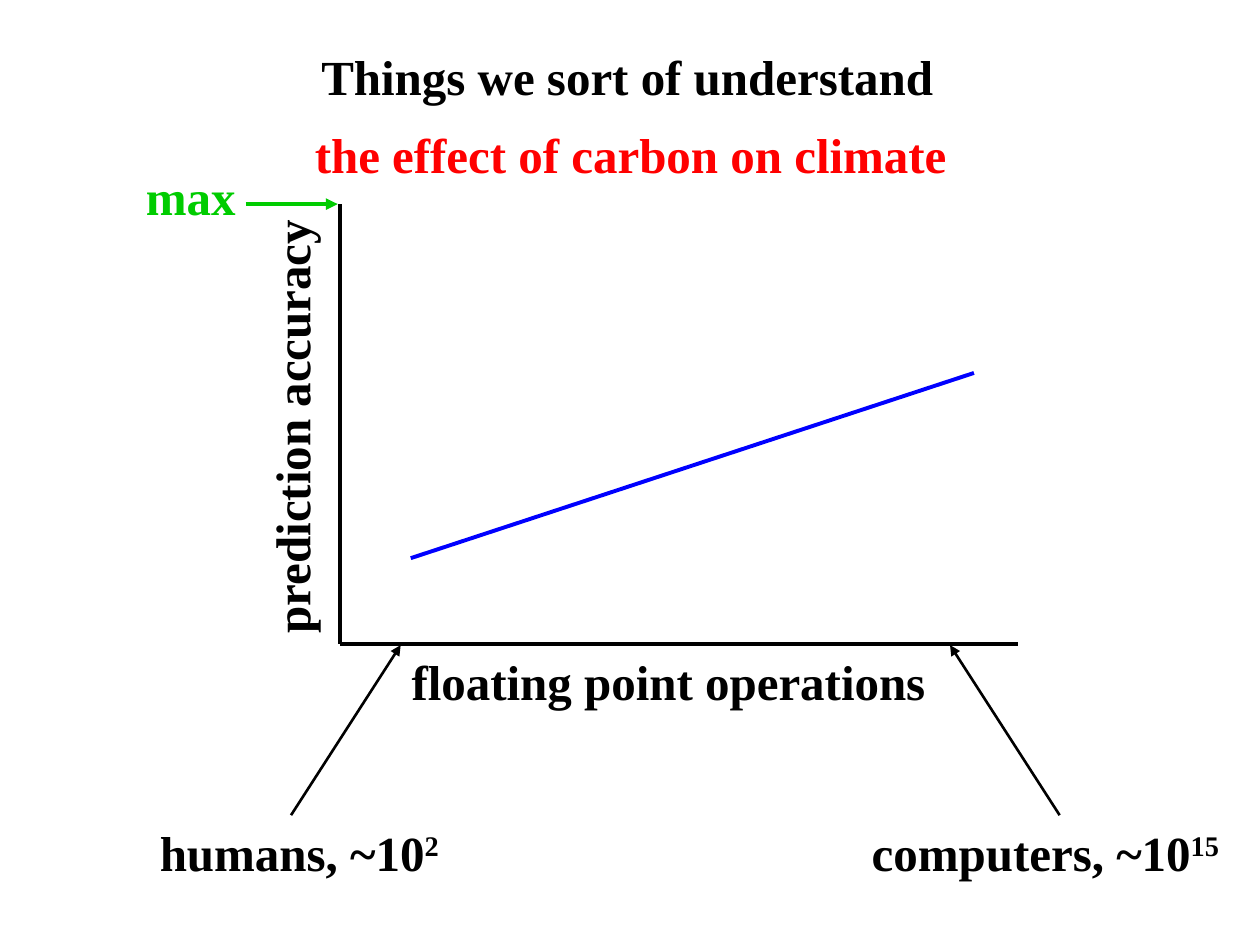
import pptx
import pptx.util
import pptx.dml.color
import pptx.enum.text
import pptx.enum.shapes
import pptx.oxml.ns
import lxml.etree

deck = pptx.Presentation()
deck.slide_width = pptx.util.Inches(10)
deck.slide_height = pptx.util.Inches(7.5)
col = deck.slide_width / 10
row = deck.slide_height / 7.5
slide = deck.slides.add_slide(deck.slide_layouts[5])
align = pptx.enum.text.PP_ALIGN
tall = 0.57
left, base, top = 2.7, 5.11, 1.62


def paint(color, hue):
    color.rgb = pptx.dml.color.RGBColor.from_string(hue)


def tag(node, name, **values):
    item = lxml.etree.SubElement(node, pptx.oxml.ns.qn(name))
    for key, value in values.items():
        item.set(key, value)


labels = [
    ("Things we sort of understand", "", 2.45, 0.32, 5.11, "000000", 0),
    ("the effect of carbon on climate", "", 2.4, 0.94, 5.27, "FF0000", 0),
    ("max", "", 1.06, 1.27, 0.92, "00CC00", 0),
    ("prediction accuracy", "", 0.55, 3.08, 3.52, "000000", 270),
    ("floating point operations", "", 3, 5.12, 4.61, "000000", 0),
    ("humans, ~10", "2", 1.17, 6.48, 2.46, "000000", 0),
    ("computers, ~10", "15", 6.82, 6.48, 3.02, "000000", 0),
]
for text, power, x, y, wide, hue, turn in labels:
    spot = int(x * col), int(y * row), int(wide * col), int(tall * row)
    if y == 0.32:
        box = slide.shapes.title
        box.left, box.top, box.width, box.height = spot
    else:
        box = slide.shapes.add_textbox(*spot)
    box.rotation = turn
    frame = box.text_frame
    frame.text = text
    frame.word_wrap = text.startswith("floating")
    frame.auto_size = pptx.enum.text.MSO_AUTO_SIZE.SHAPE_TO_FIT_TEXT
    frame.vertical_anchor = pptx.enum.text.MSO_ANCHOR.TOP
    para = frame.paragraphs[0]
    para.alignment = align.CENTER if frame.word_wrap else align.LEFT
    if power:
        para.add_run().text = power
    for run in para.runs:
        run.font.name = "Times New Roman"
        run.font.size = pptx.util.Pt(28)
        run.font.bold = True
        paint(run.font.color, hue)
    if power:
        para.runs[1].font._element.set("baseline", "30000")

lines = [
    (left, base, 8.08, base, "000000", 2.25, False),
    (left, base, left, top, "000000", 2.25, False),
    (1.95, top, 2.68, top, "00CC00", 2.25, True),
    (2.31, 6.47, 3.18, 5.12, "000000", 1.5, True),
    (8.41, 6.47, 7.54, 5.12, "000000", 1.5, True),
    (3.26, 4.43, 7.73, 2.96, "0000FF", 2.25, False),
]
for x, y, end, stop, hue, thick, arrow in lines:
    line = slide.shapes.add_connector(
        pptx.enum.shapes.MSO_CONNECTOR.STRAIGHT,
        int(x * col), int(y * row), int(end * col), int(stop * row))
    line.line.width = pptx.util.Pt(thick)
    paint(line.line.color, hue)
    if arrow:
        tag(line.line._get_or_add_ln(), "a:tailEnd", type="triangle")
    tag(line._element.spPr, "a:effectLst")

deck.save("out.pptx")
